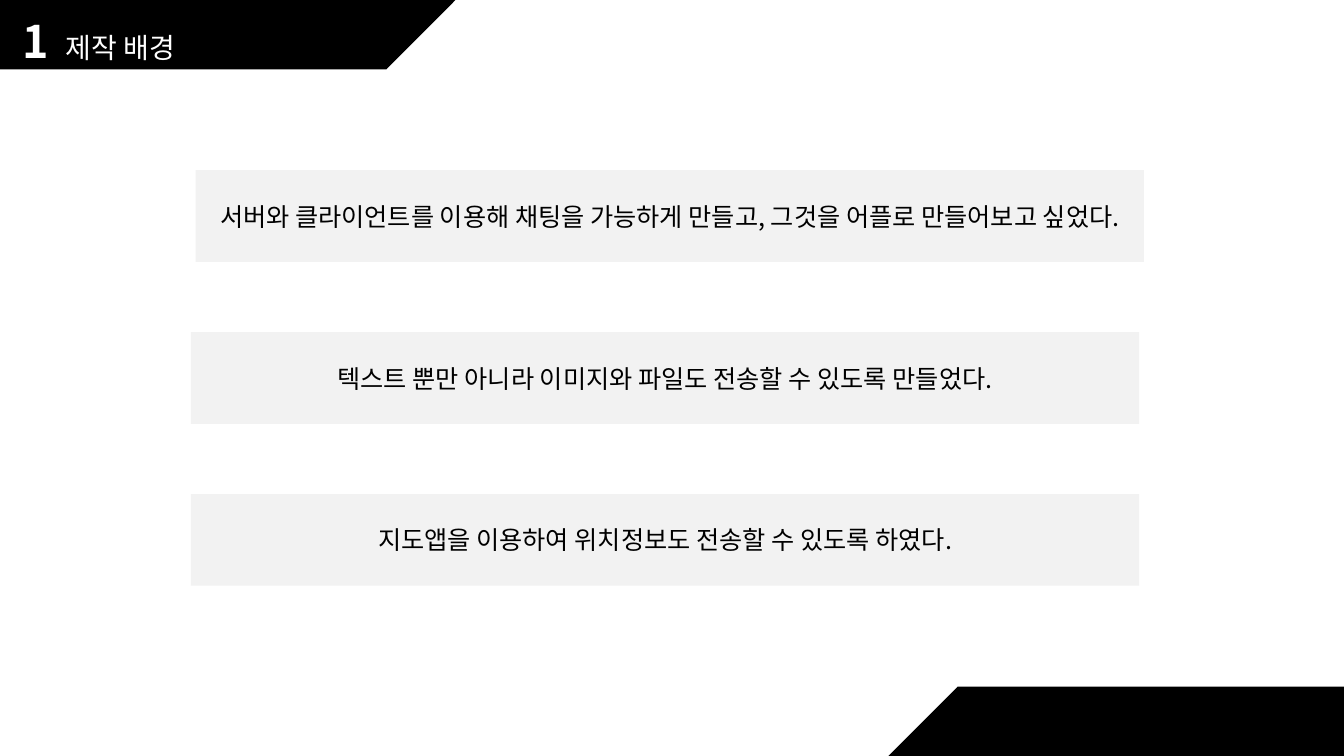
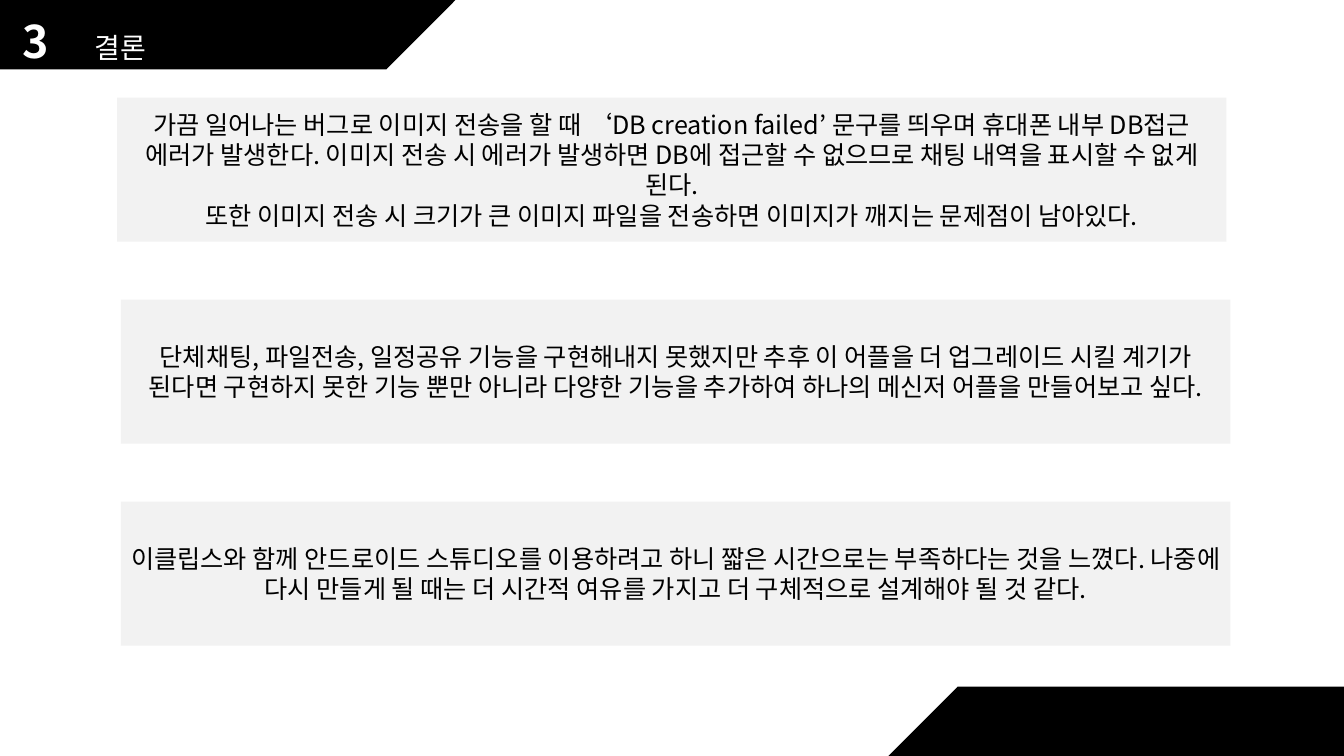
from dataclasses import dataclass

from lxml import etree
from pptx import Presentation
from pptx.dml.color import RGBColor
from pptx.enum.shapes import MSO_SHAPE
from pptx.enum.text import MSO_ANCHOR, MSO_AUTO_SIZE, PP_ALIGN
from pptx.oxml.ns import qn
from pptx.util import Cm, Pt

RECTANGLE = MSO_SHAPE.RECTANGLE
TRIANGLE = MSO_SHAPE.RIGHT_TRIANGLE
CENTER = PP_ALIGN.CENTER
TOP, MIDDLE = MSO_ANCHOR.TOP, MSO_ANCHOR.MIDDLE
GROW = MSO_AUTO_SIZE.SHAPE_TO_FIT_TEXT


@dataclass(frozen=True)
class Theme:
    font: str = "Noto Sans CJK KR"
    black: RGBColor = RGBColor(0, 0, 0)
    white: RGBColor = RGBColor(255, 255, 255)
    panel: RGBColor = RGBColor(0xF2, 0xF2, 0xF2)
    number_size: int = 32
    title_size: int = 20
    body_size: int = 18


THEME = Theme()

# All lengths are in centimetres.
PAGE_WIDTH, PAGE_HEIGHT = 33.87, 19.05
BAND_WIDTH, BAND_HEIGHT = 9.73, 1.75

# Each panel is its left edge and its paragraphs.
SLIDES = [
    {
        "number": "1",
        "title": "제작 배경",
        "top": 4.29, "pitch": 4.08, "width": 23.9, "height": 2.31,
        "panels": [
            (4.93, ["서버와 클라이언트를 이용해 채팅을 가능하게 만들고, 그것을 어플로 만들어보고 싶었다."]),
            (4.81, ["텍스트 뿐만 아니라 이미지와 파일도 전송할 수 있도록 만들었다."]),
            (4.81, ["지도앱을 이용하여 위치정보도 전송할 수 있도록 하였다."]),
        ],
    },
    {
        "number": "3",
        "title": "결론",
        "top": 2.46, "pitch": 5.09, "width": 27.96, "height": 3.63,
        "panels": [
            (2.95, [
                "가끔 일어나는 버그로 이미지 전송을 할 때 ‘DB creation failed’ 문구를 띄우며 "
                "휴대폰 내부 DB접근 에러가 발생한다. 이미지 전송 시 에러가 발생하면 "
                "DB에 접근할 수 없으므로 채팅 내역을 표시할 수 없게 된다.",
                "또한 이미지 전송 시 크기가 큰 이미지 파일을 전송하면 이미지가 깨지는 문제점이 남아있다.",
            ]),
            (3.05, [
                "단체채팅, 파일전송, 일정공유 기능을 구현해내지 못했지만 추후 이 어플을 "
                "더 업그레이드 시킬 계기가 된다면 구현하지 못한 기능 뿐만 아니라 "
                "다양한 기능을 추가하여 하나의 메신저 어플을 만들어보고 싶다.",
            ]),
            (3.05, [
                "이클립스와 함께 안드로이드 스튜디오를 이용하려고 하니 짧은 시간으로는 "
                "부족하다는 것을 느꼈다. 나중에 다시 만들게 될 때는 더 시간적 여유를 "
                "가지고 더 구체적으로 설계해야 될 것 같다.",
            ]),
        ],
    },
]


def write(box, paragraphs, *, size, color, bold=False, anchor=TOP):
    frame = box.text_frame
    frame.word_wrap = True
    frame.vertical_anchor = anchor
    for index, text in enumerate(paragraphs):
        para = frame.paragraphs[0] if index == 0 else frame.add_paragraph()
        para.alignment = CENTER
        span = para.add_run()
        span.text = text
        font = span.font
        font.size, font.bold = Pt(size), bold
        font.color.rgb = color
        font.name = THEME.font
        # East Asian glyphs take their typeface from a separate element.
        etree.SubElement(font._element, qn("a:ea"), typeface=THEME.font)


def add_block(page, kind, left, top, width, height, color, rotation=0):
    block = page.shapes.add_shape(kind, Cm(left), Cm(top), Cm(width), Cm(height))
    block.shadow.inherit = False
    block.fill.solid()
    block.fill.fore_color.rgb = color
    block.line.fill.background()
    block.rotation = rotation
    return block


def add_label(page, text, left, top, width, height, **style):
    label = page.shapes.add_textbox(Cm(left), Cm(top), Cm(width), Cm(height))
    write(label, [text], color=THEME.white, **style)
    label.text_frame.auto_size = GROW


def add_bands(page):
    """Draw the top-left band and its half-turn at the bottom right."""
    parts = [
        (RECTANGLE, 0, BAND_WIDTH, 0),
        (TRIANGLE, BAND_WIDTH, BAND_HEIGHT, 90),
    ]
    for kind, left, width, rotation in parts:
        add_block(page, kind, left, 0, width, BAND_HEIGHT, THEME.black, rotation)
        add_block(page, kind, PAGE_WIDTH - left - width, PAGE_HEIGHT - BAND_HEIGHT,
                  width, BAND_HEIGHT, THEME.black, (rotation + 180) % 360)


def add_page(deck, content):
    page = deck.slides.add_slide(deck.slide_layouts[6])
    add_bands(page)
    add_label(page, content["title"], 1.14, 0.64, 3.78, 1.11, size=THEME.title_size)
    add_label(page, content["number"], 0.28, 0.23, 1.24, 1.62,
              size=THEME.number_size, bold=True)
    for row, (left, paragraphs) in enumerate(content["panels"]):
        panel = add_block(page, RECTANGLE, left, content["top"] + row * content["pitch"],
                          content["width"], content["height"], THEME.panel)
        write(panel, paragraphs, size=THEME.body_size, color=THEME.black, anchor=MIDDLE)


def main():
    deck = Presentation()
    deck.slide_width, deck.slide_height = Cm(PAGE_WIDTH), Cm(PAGE_HEIGHT)
    for content in SLIDES:
        add_page(deck, content)
    deck.save("out.pptx")


if __name__ == "__main__":
    main()
